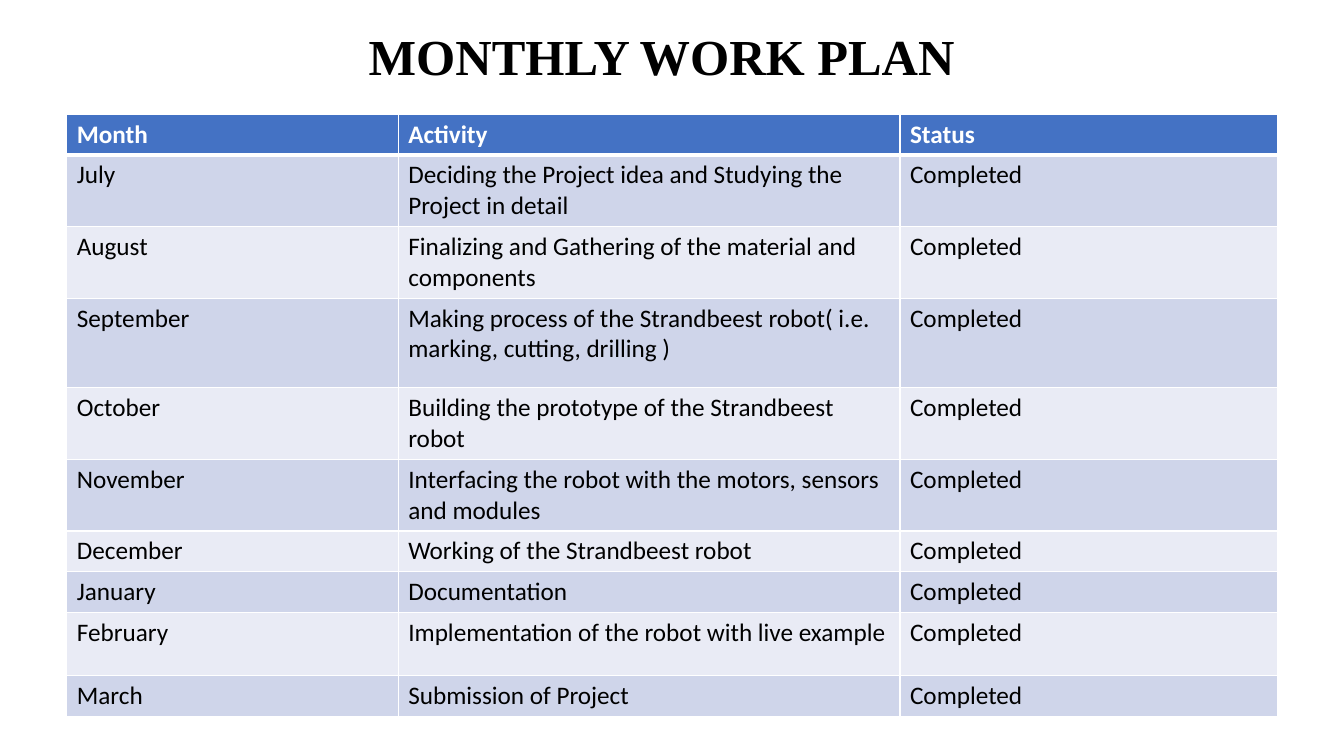
from lxml.etree import SubElement
from pptx import Presentation
from pptx.dml.color import RGBColor
from pptx.enum.text import PP_ALIGN
from pptx.oxml.ns import qn
from pptx.util import Pt

BLACK = RGBColor(0x00, 0x00, 0x00)
WHITE = RGBColor(0xFF, 0xFF, 0xFF)
HEADER_BLUE = RGBColor(0x44, 0x72, 0xC4)
BAND_DARK = RGBColor(0xCF, 0xD5, 0xEA)
BAND_LIGHT = RGBColor(0xE9, 0xEB, 0xF5)

HEADINGS = ("Month", "Activity", "Status")
COLUMN_WIDTHS = (236.8, 358.4, 269.8)
ONE_LINE, TWO_LINES = 28.1, 49
WORK_PLAN = [
    ("July", "Deciding the Project idea and Studying the Project in detail", TWO_LINES),
    ("August", "Finalizing and Gathering of the material and components", TWO_LINES),
    ("September", "Making process of the Strandbeest robot( i.e. marking, cutting, drilling )", 64),
    ("October", "Building the prototype of the Strandbeest robot", TWO_LINES),
    ("November", "Interfacing the robot with the motors, sensors and modules", TWO_LINES),
    ("December", "Working of the Strandbeest robot", ONE_LINE),
    ("January", "Documentation", ONE_LINE),
    ("February", "Implementation of the robot with live example", 44.7),
    ("March", "Submission of Project", ONE_LINE),
]


def write_text(frame, text, size=18, font="Calibri", color=BLACK, bold=False, align=None):
    frame.word_wrap = True
    paragraph = frame.paragraphs[0]
    paragraph.alignment = align
    run = paragraph.add_run()
    run.text = text
    run.font.size = Pt(size)
    run.font.name = font
    run.font.color.rgb = color
    run.font.bold = bold


def add_borders(cell, top=1, bottom=1):
    """Give the cell white borders; call before setting its fill."""
    properties = cell._tc.get_or_add_tcPr()
    for side, width in (("L", 1), ("R", 1), ("T", top), ("B", bottom)):
        line = SubElement(properties, qn(f"a:ln{side}"), w=str(Pt(width)))
        SubElement(SubElement(line, qn("a:solidFill")), qn("a:srgbClr"), val=str(WHITE))


def add_title(slide, text):
    title = slide.shapes.add_textbox(Pt(256.3), Pt(14.4), Pt(446.4), Pt(51))
    write_text(title.text_frame, text, size=36, font="Times New Roman",
               bold=True, align=PP_ALIGN.JUSTIFY)


def add_work_plan(slide):
    rows = [(*HEADINGS, ONE_LINE)]
    rows += [(month, activity, "Completed", height) for month, activity, height in WORK_PLAN]
    table = slide.shapes.add_table(
        len(rows), len(HEADINGS), Pt(47.7), Pt(81.4),
        Pt(sum(COLUMN_WIDTHS)), Pt(sum(row[-1] for row in rows))).table
    for column, width in zip(table.columns, COLUMN_WIDTHS):
        column.width = Pt(width)
    for index, (*texts, height) in enumerate(rows):
        table.rows[index].height = Pt(height)
        is_header = index == 0
        band = BAND_DARK if index % 2 else BAND_LIGHT
        for cell, text in zip(table.rows[index].cells, texts):
            add_borders(cell, top=3 if index == 1 else 1, bottom=3 if is_header else 1)
            cell.fill.solid()
            cell.fill.fore_color.rgb = HEADER_BLUE if is_header else band
            write_text(cell.text_frame, text, bold=is_header,
                       color=WHITE if is_header else BLACK)


def main():
    presentation = Presentation()
    presentation.slide_width = Pt(960)
    presentation.slide_height = Pt(540)
    slide = presentation.slides.add_slide(presentation.slide_layouts[6])
    add_work_plan(slide)
    add_title(slide, "MONTHLY WORK PLAN")
    presentation.save("out.pptx")


if __name__ == "__main__":
    main()
